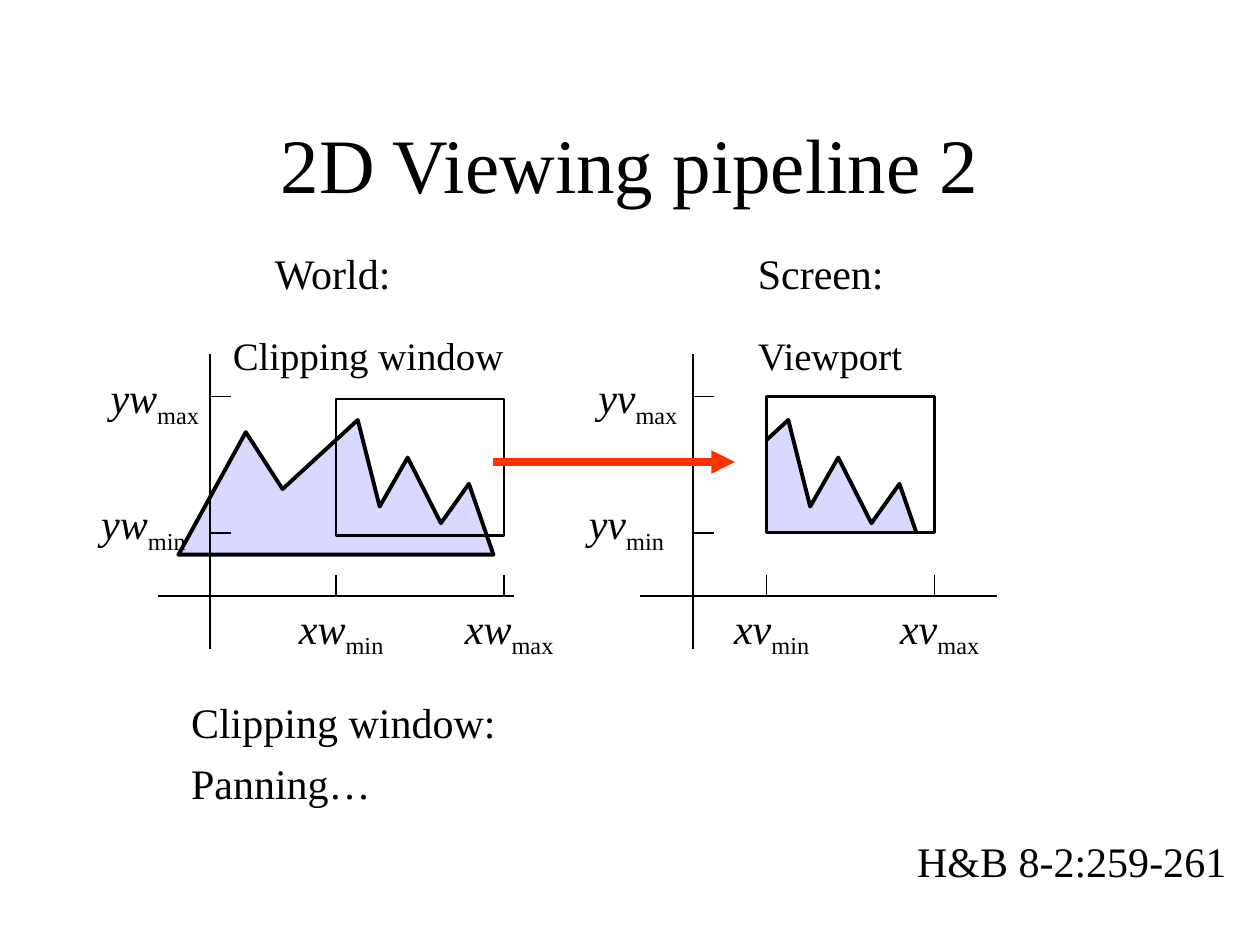
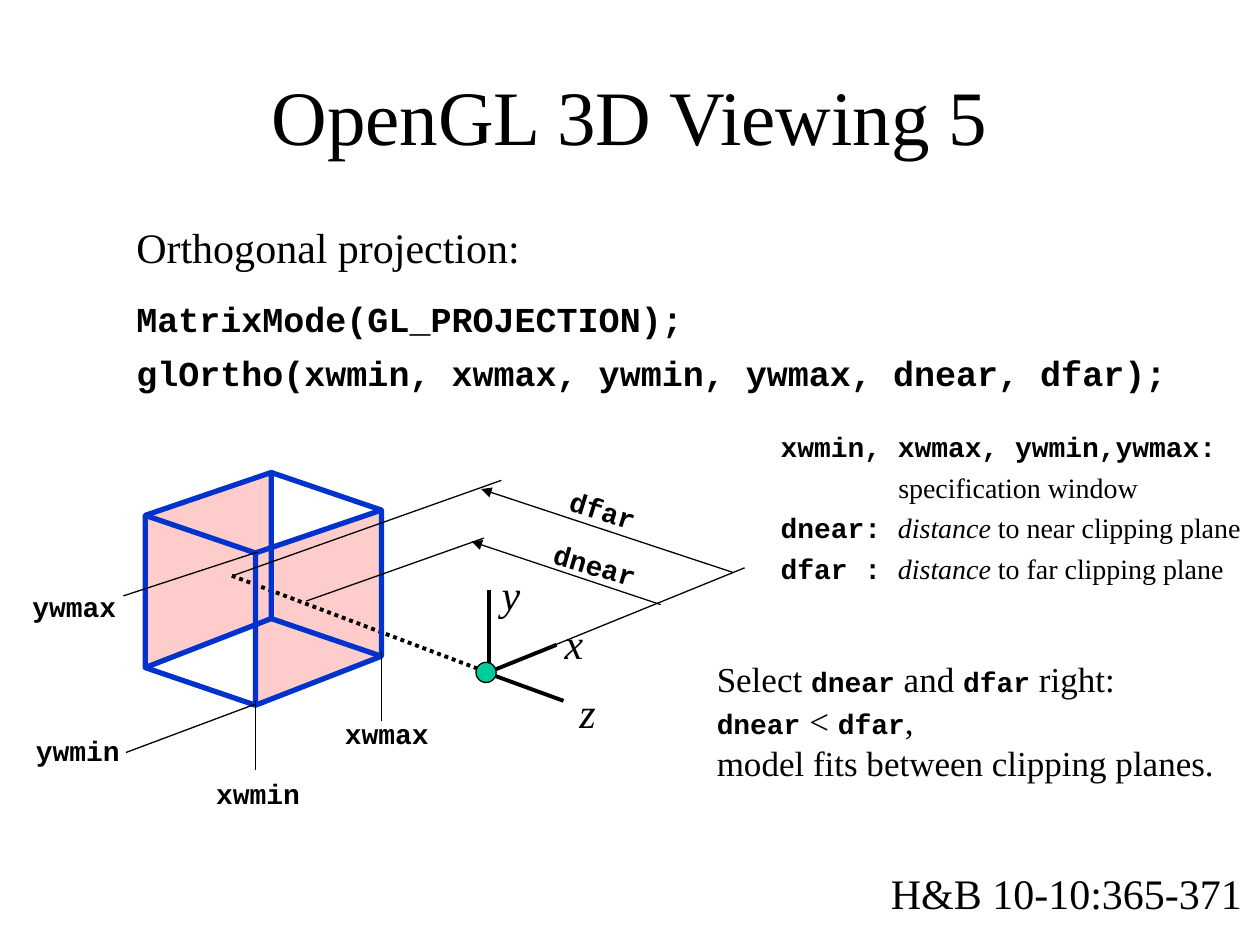
from dataclasses import dataclass

from lxml import etree
from pptx import Presentation
from pptx import util as u
from pptx.dml import color
from pptx.enum import dml, shapes, text
from pptx.oxml import ns

Pt = u.Pt


@dataclass(frozen=True)
class Theme:
    ink: str = "000000"
    paper: str = "FFFFFF"
    hill: str = "D9D9FF"
    arrow: str = "FF3300"
    pane: str = "FFCCCC"
    edge: str = "0033CC"
    ball: str = "00CC99"
    serif: str = "Times New Roman"
    mono: str = "Courier New"
    title: float = 44
    body: float = 24
    name: float = 22.2
    code: float = 20
    small: float = 16
    hair: float = 0.75
    axis: float = 1.5
    bold: float = 2.25
    thick: float = 3
    heavy: float = 4.5


T = Theme()
MONO = dict(font=T.mono, bold=True)
CODE = dict(MONO, size=T.code)
TAG = dict(MONO, size=T.small)


def write(para, words, size=T.body, font=T.serif, bold=False, italic=False, base=0):
    run = para.add_run()
    run.text = words
    face = run.font
    face.size, face.name = Pt(size), font
    face.bold, face.italic = bold, italic
    face.color.rgb = color.RGBColor.from_string(T.ink)
    if base:
        run._r.get_or_add_rPr().set("baseline", str(base * 1000))


def indent(para, left, first=0):
    props = para._p.get_or_add_pPr()
    props.set("marL", str(Pt(left)))
    props.set("indent", str(Pt(first)))
    return props


class Deck:
    def __init__(self):
        self.show = Presentation()
        self.show.slide_width, self.show.slide_height = Pt(720), Pt(540)

    def start(self, layout, title, top):
        self.slide = self.show.slides.add_slide(self.show.slide_layouts[layout])
        self.items = self.slide.shapes
        frame = self.place(self.items.title, (54, top, 612, 90))
        frame.vertical_anchor = text.MSO_ANCHOR.MIDDLE
        self.fill(frame, [title], center=True, size=T.title)

    def place(self, holder, box):
        holder.left, holder.top, holder.width, holder.height = map(Pt, box)
        frame = holder.text_frame
        frame.auto_size = text.MSO_AUTO_SIZE.NONE
        frame.word_wrap = True
        return frame

    def fill(self, frame, lines, center=False, gaps=(), **base):
        for i, line in enumerate(lines):
            para = frame.paragraphs[0] if i == 0 else frame.add_paragraph()
            para.alignment = text.PP_ALIGN.CENTER if center else text.PP_ALIGN.LEFT
            para.space_before = Pt(gaps[i - 1] if i and gaps else 0)
            for part in [line] if isinstance(line, str) else line:
                words, fmt = (part, {}) if isinstance(part, str) else part
                write(para, words, **{**base, **fmt})

    def body(self, box, lines, gaps):
        frame = self.place(self.slide.placeholders[1], box)
        self.fill(frame, lines, gaps=gaps)
        for para in frame.paragraphs:
            etree.SubElement(indent(para, 27, -27), ns.qn("a:buNone"))

    def text(self, box, lines, turn=0, **fmt):
        item = self.items.add_textbox(*map(Pt, box))
        item.rotation = turn
        frame = item.text_frame
        frame.word_wrap = True
        self.fill(frame, lines, **fmt)
        return frame

    def paint(self, item, fill, line, width):
        item.shadow.inherit = False
        if fill:
            item.fill.solid()
            item.fill.fore_color.rgb = color.RGBColor.from_string(fill)
        else:
            item.fill.background()
        if line:
            item.line.color.rgb = color.RGBColor.from_string(line)
            item.line.width = Pt(width)
        else:
            item.line.fill.background()

    def shape(self, box, kind="RECTANGLE", fill=None, line=None, width=T.axis):
        item = self.items.add_shape(shapes.MSO_SHAPE[kind], *map(Pt, box))
        self.paint(item, fill, line, width)

    def form(self, points, fill=None, line=None, width=T.bold):
        spots = [(Pt(x), Pt(y)) for x, y in points]
        build = self.items.build_freeform(*spots[0])
        build.add_line_segments(spots[1:], close=True)
        self.paint(build.convert_to_shape(), fill, line, width)

    def line(self, start, end, width=T.hair, hue=T.ink, dots=False, head=False):
        item = self.items.add_connector(
            shapes.MSO_CONNECTOR.STRAIGHT, *map(Pt, (*start, *end)))
        item.line.color.rgb = color.RGBColor.from_string(hue)
        item.line.width = Pt(width)
        if dots:
            item.line.dash_style = dml.MSO_LINE.ROUND_DOT
        if head:
            etree.SubElement(item.get_or_add_ln(), ns.qn("a:tailEnd"), type="triangle")
        etree.SubElement(item._element.spPr, ns.qn("a:effectLst"))


HILLS = [(102, 317), (140.5, 247), (161.5, 279.5), (204.5, 240), (217, 289.5),
         (233, 261.5), (252, 299), (268, 276.5), (282, 317)]
HIGH, LOW, BASE = 226.5, 304.5, 340.5


def graph(deck, axis, ticks, space):
    def label(mid, top, letter, bound):
        deck.text((mid - 40, top, 80, 40),
                  [[(letter + space, dict(italic=True)), (bound, dict(base=-25))]],
                  center=True)

    deck.line((axis - 30, BASE), (axis + 174, BASE), T.axis)
    deck.line((axis, 371), (axis, 202.5), T.axis)
    for y, mid, top, bound in ((HIGH, axis - 31.5, 209, "max"),
                               (LOW, axis - 38, 281, "min")):
        deck.line((axis, y), (axis + 12, y))
        label(mid, top, "y", bound)
    for x, bound in zip(ticks, ("min", "max")):
        deck.line((x, BASE - 12), (x, BASE))
        label(x + 3, BASE, "x", bound)


def window(deck):
    shift = 246
    deck.start(1, "2D Viewing pipeline 2", 48)
    deck.form(HILLS, T.hill, T.ink)
    deck.body((102, 394.5, 246, 79), ["Clipping window:", "Panning…"], [6])
    graph(deck, 120, (192, 288), "w")
    deck.shape((192, 228, 96, 78), line=T.ink)
    deck.text((126, 186, 186, 36), ["Clipping window"], size=T.name)
    deck.text((150, 138, 138, 42), ["World:"])

    deck.form([(x + shift, y) for x, y in HILLS], T.hill, T.ink)
    for mask in ((336, 214.5, 102, 114), (432, LOW, 150, 24), (534, 220.5, 54, 114)):
        deck.shape(mask, fill=T.paper)
    graph(deck, 396, (192 + shift, 288 + shift), "v")
    deck.shape((192 + shift, HIGH, 96, 78), line=T.ink)
    deck.text((426, 186, 114, 36), ["Viewport"], size=T.name)
    deck.text((426, 138, 138, 42), ["Screen:"])
    deck.line((282, 264), (420, 264), T.heavy, T.arrow, head=True)
    deck.text((517, 474, 194, 36), ["H&B 8-2:259-261"])


def volume(deck):
    deck.start(5, "OpenGL 3D Viewing 5", 20.5)
    deck.text((502, 492, 216, 36), ["H&B 10-10:365-371"])

    left = [(83, 381.5), (155, 353.5), (155, 270), (83, 294.5)]
    right = [(x + 63, y + 21.5) for x, y in left]
    for pane in (left, right):
        deck.form(pane, T.pane)
    for start, end in (((279.5, 385), (322, 400.5)), ((279.5, 385), (279.5, 337)),
                       ((279.5, 384), (318, 368.5))):
        deck.line(start, end, T.bold)
    deck.line((132.5, 329), (278, 384), T.bold, dots=True)
    for name, x, y in (("z", 324, 389), ("x", 315.5, 349.5), ("y", 279.5, 321.5)):
        deck.text((x, y, 26, 36), [name], italic=True)
    for pane in (left, right):
        deck.form(pane, line=T.edge, width=T.thick)
    for near, far in zip(left, right):
        deck.line(near, far, T.thick, T.edge)
    deck.shape((272, 378.5, 11.5, 11.5), "OVAL", T.ball, T.ink, T.hair)

    deck.text((70.8, 122.8, 607, 106),
              ["Orthogonal projection:",
               [("MatrixMode(GL_PROJECTION);", CODE)],
               [("glOrtho(xwmin, xwmax, ywmin, ywmax, dnear, dfar);", CODE)]],
              gaps=(15, 6.8))

    for name, mid, top, turn in (("xwmin", 147.5, 440, 0), ("xwmax", 221, 406, 0),
                                 ("ywmin", 44.5, 415.5, 0), ("ywmax", 42.5, 333.5, 0),
                                 ("dnear", 340, 309.5, 16.4), ("dfar", 344.5, 278.5, 17.6)):
        deck.text((mid - 40, top, 80, 26.5), [name], turn, center=True, **TAG)
    for start, end in (((147, 315.5), (70.5, 340.5)), ((146, 400.5), (146, 440)),
                       ((218, 372), (218, 412)), ((145.5, 402.5), (72, 430)),
                       ((276.5, 307.5), (175, 343.5)), ((286.5, 274.5), (133, 329)),
                       ((425.5, 324.5), (297.5, 376.5))):
        deck.line(start, end)
    for start, end in (((377.5, 345.5), (269.5, 309.5)), ((418.5, 327), (275, 279.5))):
        deck.line(start, end, head=True)

    slant = ("distance", dict(italic=True))
    notes = deck.text((439, 242, 281, 96.5),
                      [[("xwmin, xwmax, ywmin,ywmax:", TAG)],
                       "specification window",
                       [("dnear: ", TAG), slant, " to near clipping plane"],
                       [("dfar : ", TAG), slant, " to far clipping plane"]],
                      gaps=(4, 4, 4), size=T.small)
    indent(notes.paragraphs[1], 67.2)
    near, far = ("dnear", TAG), ("dfar", TAG)
    deck.text((402.5, 372, 309, 79),
              [["Select ", near, " and ", far, " right:"],
               [near, " < ", far, ","],
               "model fits between clipping planes."], size=T.code)


def main():
    deck = Deck()
    window(deck)
    volume(deck)
    deck.show.save("out.pptx")


if __name__ == "__main__":
    main()
